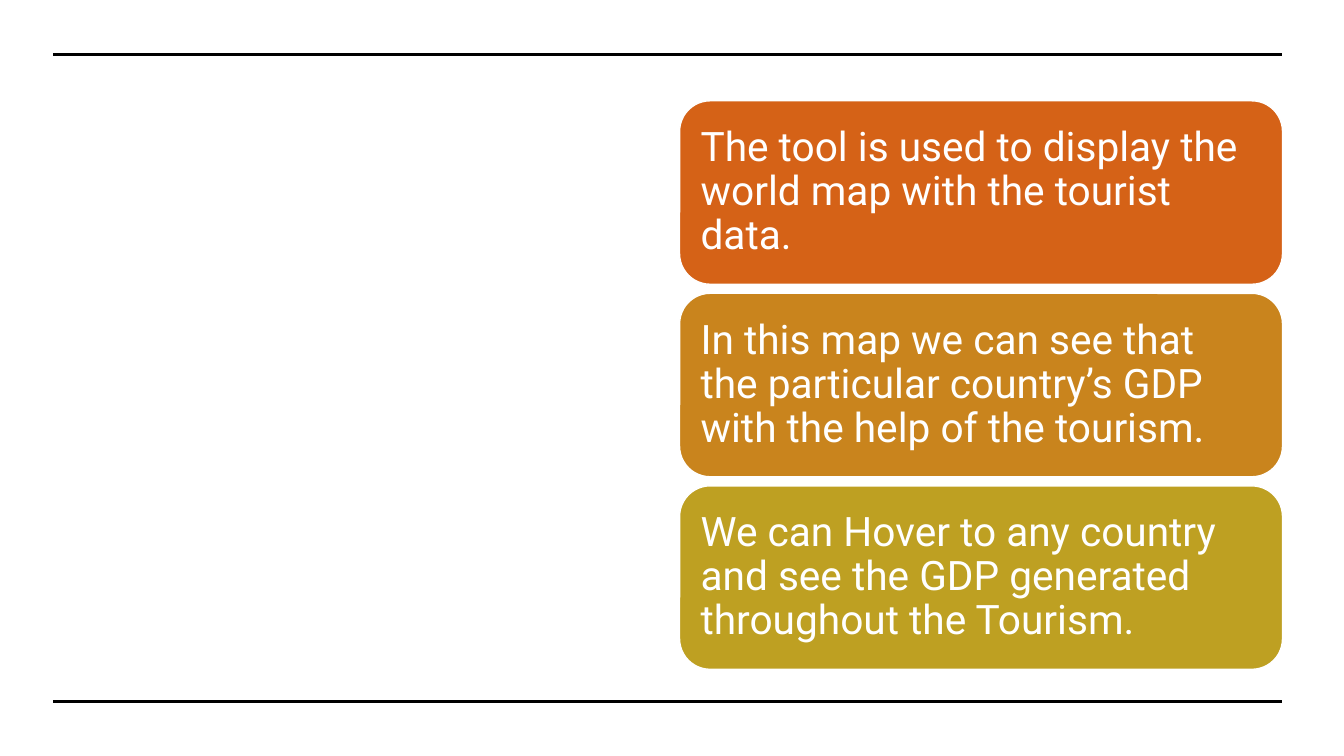
import pptx
import pptx.util
import pptx.dml.color
import pptx.enum.shapes
import pptx.enum.text
from dataclasses import dataclass
from lxml import etree

PX = 9144  # EMU per px, 100 px to the inch
SLIDE_W, SLIDE_H = 1333, 750
LEFT, RIGHT = 53, 1272
RULE_YS = (54, 696)
CARD_X, CARD_Y, CARD_W, CARD_H = 674, 100, 598, 182
CARD_STEP = 191
CARD_INSET = 12


@dataclass(frozen=True)
class Theme:
    font: str = "Roboto"
    body_pt: int = 29
    line_spacing: float = 0.9
    rule_pt: float = 2.25
    outline_pt: int = 1
    rule: str = "000000"
    light: str = "FFFFFF"


THEME = Theme()

CARDS = (
    ("D56217", "The tool is used to display the world map with the tourist data."),
    ("C9841D", "In this map we can see that the particular country’s GDP "
               "with the help of the tourism."),
    ("BEA022", "We can Hover to any country and see the GDP generated "
               "throughout the Tourism."),
)


def px(n):
    return pptx.util.Emu(n * PX)


def rgb(code):
    return pptx.dml.color.RGBColor.from_string(code)


def add_rule(s, y):
    line = s.shapes.add_connector(
        pptx.enum.shapes.MSO_CONNECTOR.STRAIGHT, px(LEFT), px(y), px(RIGHT), px(y))
    line.line.color.rgb = rgb(THEME.rule)
    line.line.width = pptx.util.Pt(THEME.rule_pt)
    etree.SubElement(line._element.spPr, pptx.oxml.ns.qn("a:effectLst"))


def add_card(s, y, color, text):
    sp = s.shapes.add_shape(
        pptx.enum.shapes.MSO_SHAPE.ROUNDED_RECTANGLE,
        px(CARD_X), px(y), px(CARD_W), px(CARD_H))
    sp.shadow.inherit = False
    sp.fill.solid()
    sp.fill.fore_color.rgb = rgb(color)
    sp.line.color.rgb = rgb(THEME.light)
    sp.line.width = pptx.util.Pt(THEME.outline_pt)

    tf = sp.text_frame
    tf.word_wrap = True
    tf.vertical_anchor = pptx.enum.text.MSO_ANCHOR.MIDDLE
    tf.margin_left = tf.margin_right = px(CARD_INSET)
    tf.margin_top = tf.margin_bottom = px(CARD_INSET)
    tf.text = text
    p = tf.paragraphs[0]
    p.alignment = pptx.enum.text.PP_ALIGN.LEFT
    p.line_spacing = THEME.line_spacing
    r = p.runs[0]
    r.font.name = THEME.font
    r.font.size = pptx.util.Pt(THEME.body_pt)
    r.font.color.rgb = rgb(THEME.light)


def main():
    prs = pptx.Presentation()
    prs.slide_width, prs.slide_height = px(SLIDE_W), px(SLIDE_H)
    s = prs.slides.add_slide(prs.slide_layouts[6])

    # Rules at top and bottom
    for y in RULE_YS:
        add_rule(s, y)

    # Stack of cards
    for i, (color, text) in enumerate(CARDS):
        add_card(s, CARD_Y + i * CARD_STEP, color, text)

    prs.save("out.pptx")


if __name__ == "__main__":
    main()
